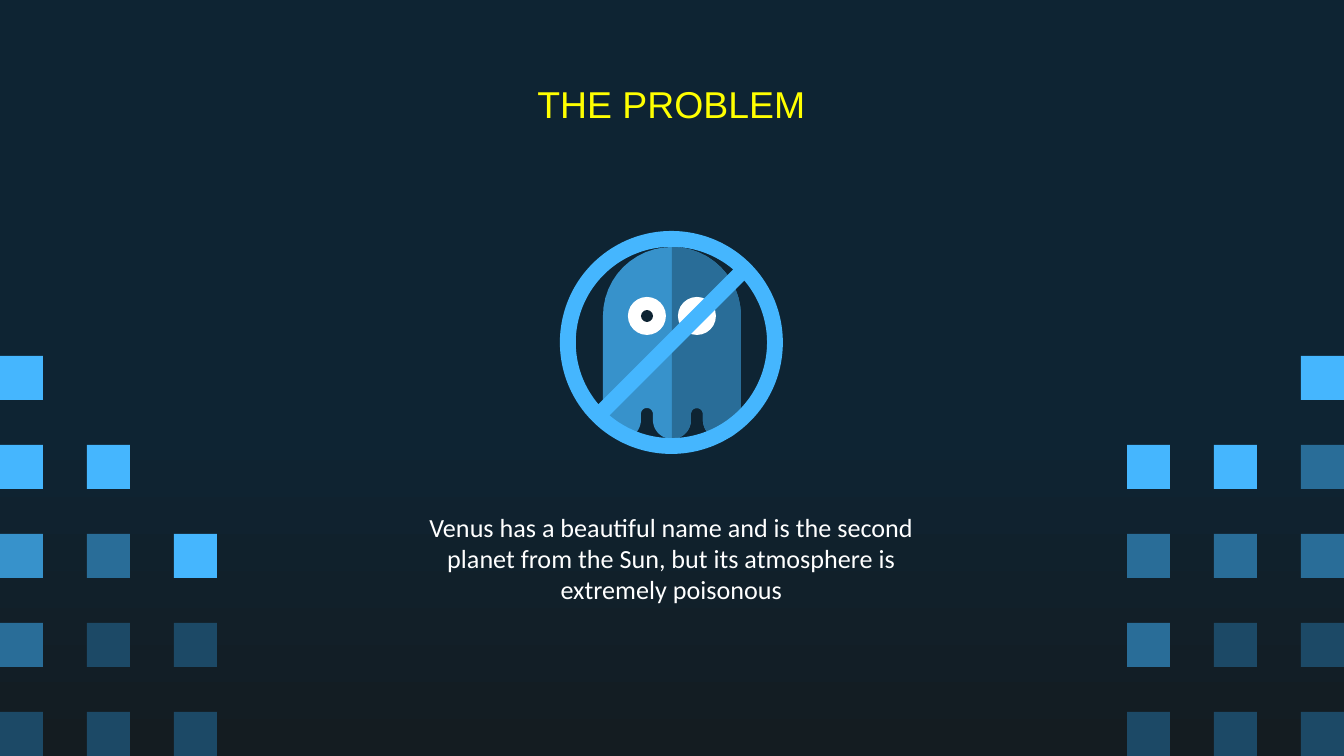
from math import cos, radians, sin

from pptx import Presentation
from pptx.dml.color import RGBColor
from pptx.enum.shapes import MSO_SHAPE
from pptx.enum.text import MSO_ANCHOR, PP_ALIGN
from pptx.util import Pt

SCALE = 9144000 / 1344
COLORS = {
    "night": "0E2433",
    "floor": "141C21",
    "bright": "45B6FE",
    "medium": "3792CB",
    "dim": "296D98",
    "dark": "1C4966",
    "white": "FFFFFF",
    "yellow": "FFFF00",
}
LEFT_TILES = [
    ["bright", None, None],
    ["bright", "bright", None],
    ["medium", "dim", "bright"],
    ["dim", "dark", "dark"],
    ["dark", "dark", "dark"],
]
RIGHT_TILES = [
    [None, None, "bright"],
    ["bright", "bright", "dim"],
    ["dim", "dim", "dim"],
    ["dim", "dark", "dark"],
    ["dark", "dark", "dark"],
]


def px(length):
    return round(length * SCALE)


def color(name):
    return RGBColor.from_string(COLORS[name])


def paint(shape, name):
    shape.shadow.inherit = False
    shape.fill.solid()
    shape.fill.fore_color.rgb = color(name)
    shape.line.fill.background()


def add_shape(page, kind, left, top, width, height, name):
    shape = page.shapes.add_shape(kind, px(left), px(top), px(width), px(height))
    paint(shape, name)
    return shape


def add_background(page):
    fill = page.background.fill
    fill.gradient()
    fill.gradient_angle = 270
    stops = zip(fill.gradient_stops, (0.56, 1), ("night", "floor"))
    for stop, position, name in stops:
        stop.position = position
        stop.color.rgb = color(name)


def add_tiles(page, left, top, tiles):
    for row, names in enumerate(tiles):
        for column, name in enumerate(names):
            if name:
                add_shape(page, MSO_SHAPE.RECTANGLE, left + column * 87,
                          top + row * 89, 43, 44, name)


def arc(x, y, radius, start, end):
    steps = 24
    angles = [radians(start + (end - start) * step / steps)
              for step in range(steps + 1)]
    return [(x + radius * cos(angle), y + radius * sin(angle))
            for angle in angles]


def add_outline(page, left, top, points, name):
    corners = [(px(left + x), px(top + y)) for x, y in points]
    builder = page.shapes.build_freeform(*corners[0])
    builder.add_line_segments(corners[1:], close=True)
    paint(builder.convert_to_shape(), name)


def add_ghost(page, left, top):
    right_foot = arc(119, 173, 19, 0, 180) + arc(94, 167, 6, 0, -180)
    left_foot = arc(44, 167, 6, 0, -180) + arc(19, 173, 19, 0, 180)
    body = (arc(69, 69, 69, -180, 0) + right_foot
            + arc(69, 173, 19, 0, 180) + left_foot)
    shade = arc(69, 69, 69, -90, 0) + right_foot + arc(69, 173, 19, 0, 90)
    add_outline(page, left, top, body, "medium")
    add_outline(page, left, top, shade, "dim")
    for center in (44, 94):
        for size, name in ((38, "white"), (12, "night")):
            add_shape(page, MSO_SHAPE.OVAL, left + center - size / 2,
                      top + 69 - size / 2, size, size, name)


def add_ban_sign(page, left, top, size):
    sign = add_shape(page, MSO_SHAPE.NO_SYMBOL, left, top, size, size, "bright")
    sign.adjustments[0] = 0.071
    sign.element.spPr.xfrm.set("flipH", "1")


def add_text(page, left, top, width, height, text, font, size, name, anchor):
    box = page.shapes.add_textbox(px(left), px(top), px(width), px(height))
    frame = box.text_frame
    frame.word_wrap = True
    frame.vertical_anchor = anchor
    frame.margin_left = frame.margin_right = px(13)
    frame.margin_top = frame.margin_bottom = px(13)
    frame.text = text
    para = frame.paragraphs[0]
    para.alignment = PP_ALIGN.CENTER
    for span in para.runs:
        span.font.name = font
        span.font.size = Pt(size)
        span.font.color.rgb = color(name)


def build_problem_page(deck):
    page = deck.slides.add_slide(deck.slide_layouts[6])
    add_background(page)
    add_tiles(page, 1127, 356, RIGHT_TILES)
    add_tiles(page, 0, 356, LEFT_TILES)
    add_ghost(page, 603, 247)
    add_text(page, 105, 80, 1133, 48, "THE PROBLEM",
             "Arial", 20, "yellow", MSO_ANCHOR.MIDDLE)
    add_text(page, 387, 498, 569, 133,
             "Venus has a beautiful name and is the second planet from the Sun, "
             "but its atmosphere is extremely poisonous",
             "Calibri", 14, "white", MSO_ANCHOR.TOP)
    add_ban_sign(page, 560, 231, 223)


def main():
    deck = Presentation()
    deck.slide_width = px(1344)
    deck.slide_height = px(756)
    build_problem_page(deck)
    deck.save("out.pptx")


if __name__ == "__main__":
    main()
